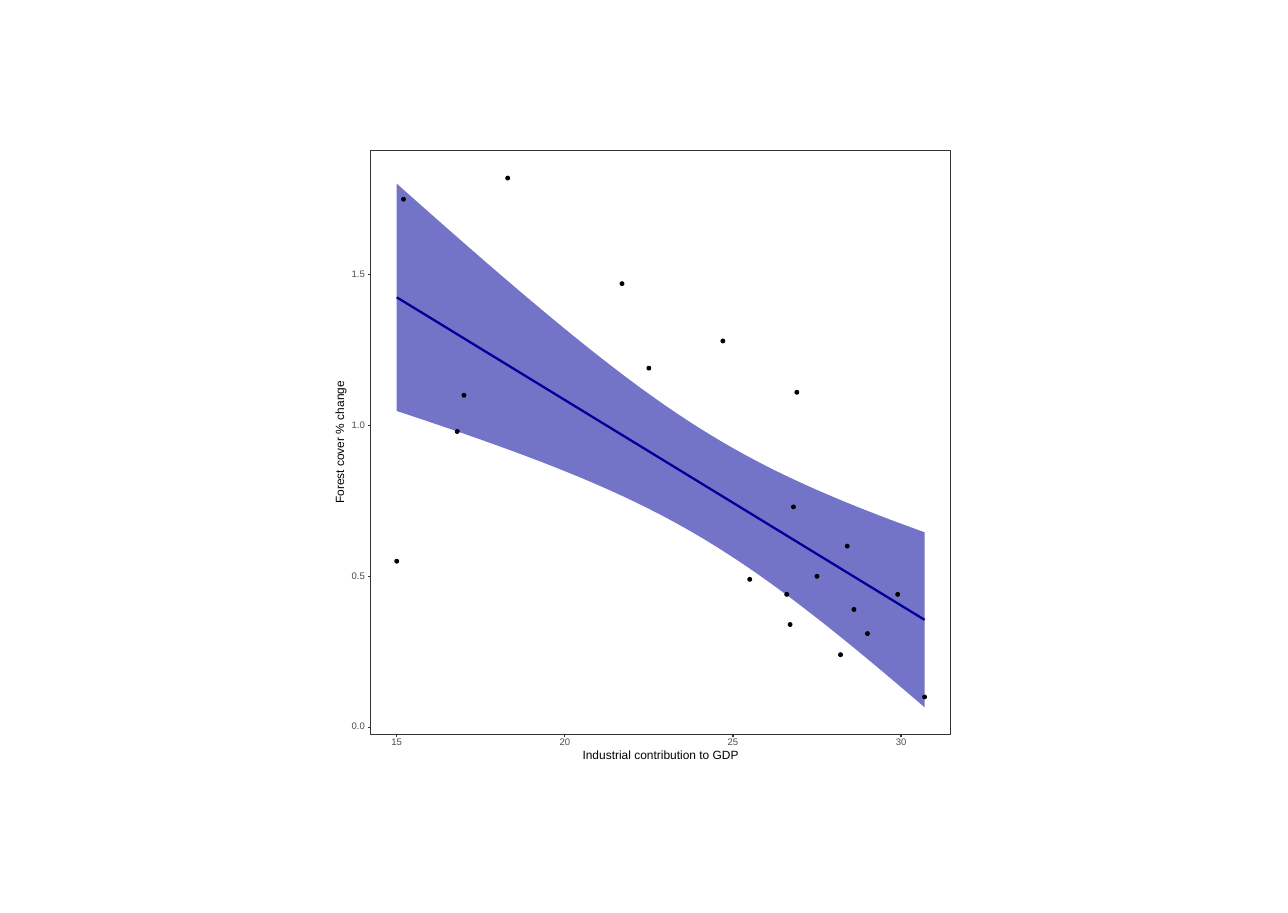
from math import sqrt

from pptx import Presentation
from pptx.dml.color import RGBColor
from pptx.enum.shapes import MSO_CONNECTOR, MSO_SHAPE
from pptx.enum.text import MSO_ANCHOR, PP_ALIGN
from pptx.oxml import parse_xml
from pptx.oxml.ns import nsdecls, qn
from pptx.util import Cm, Pt

NAVY, BLACK, GREY, FRAME, WHITE = "000099", "000000", "4D4D4D", "333333", "FFFFFF"
PANEL = (12.06, 4.9, 18.88, 19)  # left, top, width, height in cm
X_TICKS, X_GAP, X_PAD = (15, 20, 25, 30), 5.47, 0.85  # gaps and pads in cm
Y_TICKS, Y_GAP, Y_PAD = (0, 0.5, 1, 1.5), 4.91, 0.23
POINTS = [
    (15.2, 1.75), (15.0, 0.55), (16.8, 0.98), (17.0, 1.10), (18.3, 1.82),
    (21.7, 1.47), (22.5, 1.19), (24.7, 1.28), (25.5, 0.49), (26.9, 1.11),
    (26.8, 0.73), (28.6, 0.39), (28.2, 0.24), (27.5, 0.50), (26.7, 0.34),
    (26.6, 0.44), (28.4, 0.60), (29.0, 0.31), (29.9, 0.44), (30.7, 0.10),
]
FIRST, LAST = min(POINTS)[0], max(POINTS)[0]
T_VALUE = 2.1  # 95 % limit for 18 degrees of freedom
DOT = 0.13


def tint(code):
    """Turn a hex string into a colour."""
    return RGBColor.from_string(code)


def paint(part, code):
    """Give a part a solid fill."""
    part.fill.solid()
    part.fill.fore_color.rgb = tint(code)


def stroke(line, code, width):
    """Set the colour and width of a line."""
    line.color.rgb = tint(code)
    line.width = Pt(width)


def fit_line(points):
    """Return functions for the least squares line and its margin."""
    count = len(points)
    mid_x = sum(x for x, _ in points) / count
    mid_y = sum(y for _, y in points) / count
    spread = sum((x - mid_x) ** 2 for x, _ in points)
    slope = sum((x - mid_x) * (y - mid_y) for x, y in points) / spread

    def trend(x):
        """Return the fitted value."""
        return mid_y + slope * (x - mid_x)

    error = sqrt(sum((y - trend(x)) ** 2 for x, y in points) / (count - 2))

    def margin(x):
        """Return half the height of the confidence band."""
        return T_VALUE * error * sqrt(1 / count + (x - mid_x) ** 2 / spread)

    return trend, margin


def place(box, x, y):
    """Return the place of a data point in the box, in cm."""
    left, top, _, height = box
    across = (x - X_TICKS[0]) / (X_TICKS[1] - X_TICKS[0])
    up = (y - Y_TICKS[0]) / (Y_TICKS[1] - Y_TICKS[0])
    return left + X_PAD + X_GAP * across, top + height - Y_PAD - Y_GAP * up


def add_shape(slide, kind, box, fill, edge, width):
    """Add a filled and outlined shape without shadow."""
    shape = slide.shapes.add_shape(kind, *(Cm(n) for n in box))
    shape.shadow.inherit = False
    paint(shape, fill)
    stroke(shape.line, edge, width)


def add_line(slide, start, end, code, width):
    """Draw a straight line between two places."""
    line = slide.shapes.add_connector(
        MSO_CONNECTOR.STRAIGHT, *(Cm(n) for n in (*start, *end)))
    stroke(line.line, code, width)
    line.element.spPr.append(parse_xml(f"<a:effectLst {nsdecls('a')}/>"))


def add_label(slide, text, x, y, width, size, code, turn=0):
    """Write one centred line of text around a point."""
    height = 0.3
    box = slide.shapes.add_textbox(Cm(x - width / 2), Cm(y - height / 2),
                                   Cm(width), Cm(height))
    box.rotation = turn
    frame = box.text_frame
    frame.word_wrap = False
    frame.vertical_anchor = MSO_ANCHOR.MIDDLE
    frame.margin_left = frame.margin_right = 0
    frame.margin_top = frame.margin_bottom = 0
    para = frame.paragraphs[0]
    para.alignment = PP_ALIGN.CENTER
    para.line_spacing = Pt(size)
    run = para.add_run()
    run.text = text
    run.font.name = "Arial"
    run.font.size = Pt(size)
    run.font.color.rgb = tint(code)


def add_band(slide, box, trend, margin):
    """Draw the confidence band around the trend."""
    steps = [FIRST + (LAST - FIRST) * n / 79 for n in range(80)]
    edge = [(x, trend(x) + margin(x)) for x in steps]
    edge += [(x, trend(x) - margin(x)) for x in reversed(steps)]
    spots = [tuple(Cm(n) for n in place(box, x, y)) for x, y in edge]
    maker = slide.shapes.build_freeform(*spots[0])
    maker.add_line_segments(spots[1:], close=True)
    band = maker.convert_to_shape()
    band.shadow.inherit = False
    paint(band, NAVY)
    band.line.fill.background()
    shade = band.element.spPr.find(qn("a:solidFill"))[0]
    shade.append(parse_xml(f'<a:alpha {nsdecls("a")} val="55000"/>'))


def add_plot(slide, box):
    """Draw the panel with its trend line, band and dots."""
    trend, margin = fit_line(POINTS)
    add_shape(slide, MSO_SHAPE.RECTANGLE, box, WHITE, FRAME, 1.07)
    ends = [place(box, x, trend(x)) for x in (FIRST, LAST)]
    add_line(slide, *ends, NAVY, 2.13)
    add_band(slide, box, trend, margin)
    for point in POINTS:
        x, y = place(box, *point)
        spot = (x - DOT / 2, y - DOT / 2, DOT, DOT)
        add_shape(slide, MSO_SHAPE.OVAL, spot, BLACK, BLACK, 0.71)


def add_axes(slide, box):
    """Add ticks, tick labels and axis titles around the panel."""
    left, top, width, height = box
    base = top + height
    for val in Y_TICKS:
        y = place(box, X_TICKS[0], val)[1]
        add_line(slide, (left - 0.1, y), (left, y), FRAME, 1.07)
        add_label(slide, f"{val:.1f}", left - 0.4, y, 0.44, 8.8, GREY)
    for val in X_TICKS:
        x = place(box, val, Y_TICKS[0])[0]
        add_line(slide, (x, base + 0.1), (x, base), FRAME, 1.07)
        add_label(slide, str(val), x, base + 0.27, 0.36, 8.8, GREY)
    add_label(slide, "Industrial contribution to GDP",
              left + width / 2, base + 0.7, 5.4, 11, BLACK)
    add_label(slide, "Forest cover % change",
              left - 0.98, top + height / 2, 4.3, 11, BLACK, 270)


def build():
    """Build and save the slide."""
    deck = Presentation()
    deck.slide_width, deck.slide_height = Cm(41.91), Cm(29.72)
    slide = deck.slides.add_slide(deck.slide_layouts[6])
    add_plot(slide, PANEL)
    add_axes(slide, PANEL)
    deck.save("out.pptx")


build()
